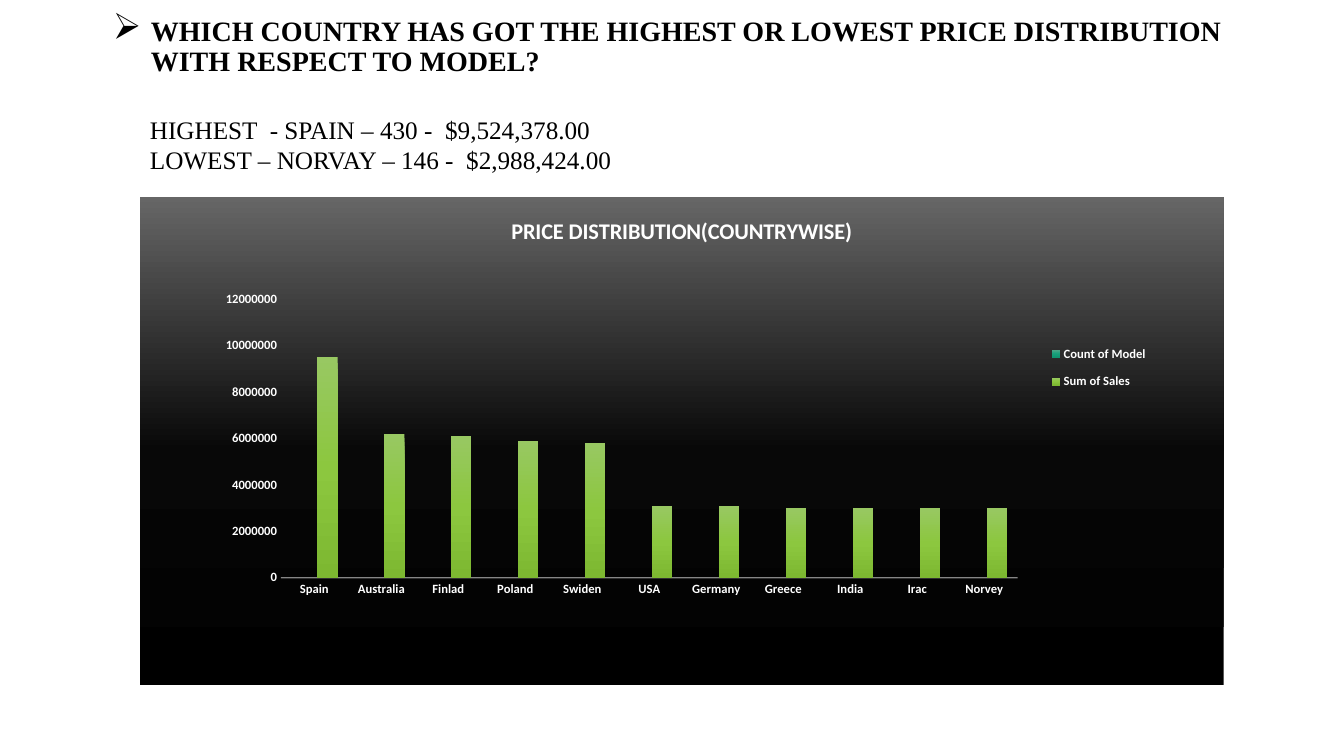
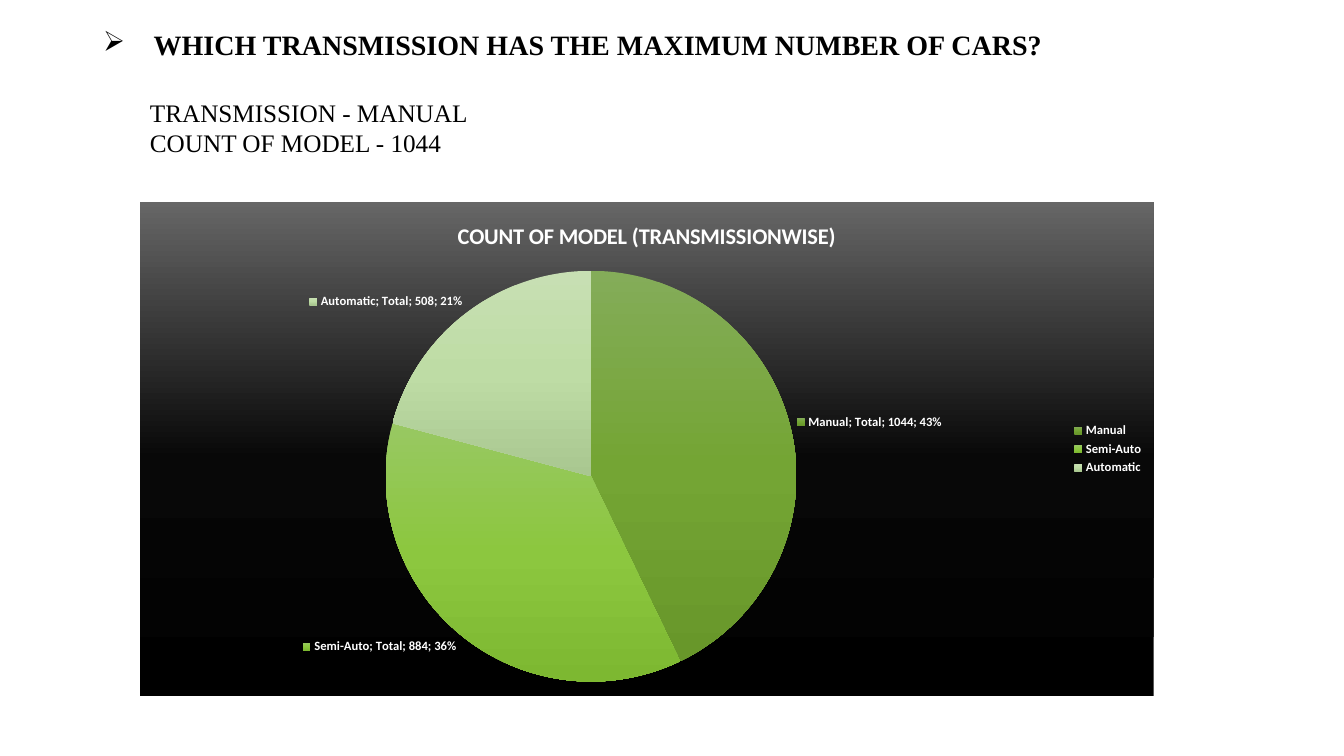
from pptx import Presentation
from pptx.chart.data import CategoryChartData
from pptx.dml.color import RGBColor
from pptx.enum.chart import XL_CHART_TYPE, XL_LABEL_POSITION, XL_LEGEND_POSITION, XL_TICK_MARK
from pptx.enum.text import MSO_ANCHOR, MSO_AUTO_SIZE, PP_ALIGN
from pptx.oxml import parse_xml
from pptx.oxml.ns import nsdecls, qn
from pptx.util import Pt

COLORS = {"text": "000000", "chart_text": "FFFFFF", "axis": "F2F2F2"}

# Gradients: colours at 0, the middle stop and 100 percent
GRADIENTS = {
    "backdrop": ["000000", "080808", "666666"],
    "teal": ["4EA788", "17A07B", "0F9470"],
    "lime": ["98C862", "8CC73F", "7DB831"],
    "green": ["84AC59", "74A534", "68972A"],
    "pale": ["C7DFB3", "BEDCA5", "A9C790"],
}

# Text formats
QUESTION = {"name": "Times New Roman", "size": Pt(20), "bold": True}
ANSWER = {"name": "Times New Roman", "size": Pt(18), "bold": False}
CHART_TITLE = {"name": "Calibri", "size": Pt(16), "bold": True}
CHART_BASE = {"name": "Calibri", "size": Pt(10), "bold": True}
CHART_LABEL = {"name": "Calibri", "size": Pt(9), "bold": True}


def style(font, formats, color):
    for attribute, value in formats.items():
        setattr(font, attribute, value)
    font.color.rgb = RGBColor.from_string(COLORS[color])


def gradient_fill(name, middle, angle):
    stops = "".join(
        f'<a:gs pos="{position * 1000}"><a:srgbClr val="{color}"/></a:gs>'
        for position, color in zip((0, middle, 100), GRADIENTS[name]))
    return parse_xml(f'<a:gradFill {nsdecls("a")} rotWithShape="1"><a:gsLst>{stops}</a:gsLst>'
                     f'<a:lin ang="{angle * 60000}" scaled="0"/></a:gradFill>')


# Content: places are left, top, width, height in points;
# layouts are x, y, w, h as fractions of the chart
pages = [
    {
        "question": "WHICH COUNTRY HAS GOT THE HIGHEST OR LOWEST PRICE DISTRIBUTION "
                    "WITH RESPECT TO MODEL?",
        "question_at": (73.5, 2, 828, 63.5), "indent": 27, "bullet_size": 130,
        "answers": ["HIGHEST  - SPAIN – 430 -  $9,524,378.00",
                    "LOWEST – NORVAY – 146 -  $2,988,424.00"],
        "answers_at": (100, 78, 381, 51),
        "chart_title": "PRICE DISTRIBUTION(COUNTRYWISE)",
        "chart_type": XL_CHART_TYPE.COLUMN_CLUSTERED,
        "chart_at": (100, 140.5, 774, 349),
        "categories": ["Spain", "Australia", "Finlad", "Poland", "Swiden", "USA",
                       "Germany", "Greece", "India", "Irac", "Norvey"],
        "series": {
            "Count of Model": [0] * 11,
            "Sum of Sales": [9500000, 6200000, 6100000, 5900000, 5800000, 3100000,
                             3100000, 3000000, 3000000, 3000000, 3000000],
        },
        "fills": ["teal", "lime"],
        "plot_layout": (0.13, 0.21, 0.68, 0.57),
        "legend_layout": (0.83, 0.28, 0.11, 0.14),
    },
    {
        "question": "WHICH TRANSMISSION HAS THE MAXIMUM NUMBER OF CARS?",
        "question_at": (66.5, 16.5, 828, 33), "indent": 36, "bullet_size": 100,
        "answers": ["TRANSMISSION - MANUAL", "COUNT OF MODEL - 1044"],
        "answers_at": (100, 66, 638, 51),
        "chart_title": "COUNT OF MODEL (TRANSMISSIONWISE)",
        "chart_type": XL_CHART_TYPE.PIE,
        "chart_at": (100, 144, 724, 353.5),
        "categories": ["Manual", "Semi-Auto", "Automatic"],
        "series": {"Total": [1044, 884, 508]},
        "fills": ["green", "lime", "pale"],
        "plot_layout": (0.24, 0.14, 0.41, 0.83),
        "legend_layout": None,
    },
]

deck = Presentation()
deck.slide_width, deck.slide_height = Pt(960), Pt(540)

for page in pages:
    slide = deck.slides.add_slide(deck.slide_layouts[5])

    # Question with arrow bullet
    question = slide.shapes.title
    question.left, question.top, question.width, question.height = map(Pt, page["question_at"])
    question_frame = question.text_frame
    question_frame.text = page["question"]
    question_frame.auto_size = MSO_AUTO_SIZE.NONE
    question_frame.vertical_anchor = MSO_ANCHOR.MIDDLE
    line = question_frame.paragraphs[0]
    line.alignment, line.line_spacing = PP_ALIGN.LEFT, 0.9
    style(line.runs[0].font, QUESTION, "text")
    bullet = line._p.get_or_add_pPr()
    bullet.set("marL", str(Pt(page["indent"])))
    bullet.set("indent", str(-Pt(page["indent"])))
    bullet.append(parse_xml(f'<a:buSzPct {nsdecls("a")} val="{page["bullet_size"] * 1000}"/>'))
    bullet.append(parse_xml(f'<a:buChar {nsdecls("a")} char="➢"/>'))

    # Answers
    answers = slide.shapes.add_textbox(*map(Pt, page["answers_at"])).text_frame
    answers.word_wrap = True
    answers.text = "\n".join(page["answers"])
    for answer in answers.paragraphs:
        style(answer.runs[0].font, ANSWER, "text")

    # Chart with title and legend
    data = CategoryChartData(number_format="0")
    data.categories = page["categories"]
    for name, values in page["series"].items():
        data.add_series(name, values)
    chart = slide.shapes.add_chart(page["chart_type"], *map(Pt, page["chart_at"]), data).chart
    style(chart.font, CHART_BASE, "chart_text")
    chart.has_title = True
    chart.chart_title.text_frame.text = page["chart_title"]
    style(chart.chart_title.text_frame.paragraphs[0].runs[0].font, CHART_TITLE, "chart_text")
    chart.has_legend = True
    chart.legend.position = XL_LEGEND_POSITION.RIGHT
    chart.legend.include_in_layout = False
    style(chart.legend.font, CHART_LABEL, "chart_text")

    # Dark backdrop
    backdrop = parse_xml(f'<c:spPr {nsdecls("c", "a")}><a:ln><a:noFill/></a:ln></c:spPr>')
    backdrop.insert(0, gradient_fill("backdrop", 48, 270))
    chart_xml = chart._chartSpace.find(qn("c:chart"))
    chart_xml.addnext(backdrop)

    plot = chart.plots[0]
    if page["chart_type"] == XL_CHART_TYPE.PIE:
        # Slices and their labels
        plot.vary_by_categories = True
        colored_parts = [plot.series[0].points[i] for i in range(len(page["fills"]))]
        plot.has_data_labels = True
        labels = plot.data_labels
        label_formats = {
            "show_value": True, "show_percentage": True, "show_category_name": True,
            "show_series_name": True, "show_legend_key": True,
            "position": XL_LABEL_POSITION.OUTSIDE_END,
        }
        for attribute, value in label_formats.items():
            setattr(labels, attribute, value)
        style(labels.font, CHART_LABEL, "chart_text")
    else:
        # Columns and axes
        plot.vary_by_categories = False
        plot.gap_width, plot.overlap = 100, -24
        colored_parts = list(plot.series)
        for axis in (chart.category_axis, chart.value_axis):
            axis.has_major_gridlines = False
            axis.major_tick_mark = axis.minor_tick_mark = XL_TICK_MARK.NONE
            style(axis.tick_labels.font, CHART_LABEL, "chart_text")
        chart.value_axis.maximum_scale = 12000000
        chart.value_axis.minimum_scale = 0
        chart.value_axis.major_unit = 2000000
        chart.value_axis.format.line.fill.background()
        base_line = chart.category_axis.format.line
        base_line.width = Pt(1)
        base_line.color.rgb = RGBColor.from_string(COLORS["axis"])
        base_color = chart.category_axis._element.find(".//" + qn("a:ln")).find(".//" + qn("a:srgbClr"))
        base_color.append(parse_xml(f'<a:alpha {nsdecls("a")} val="54000"/>'))

    # Gradients on columns or slices
    for part, fill_name in zip(colored_parts, page["fills"]):
        part.format.fill.solid()
    solid_fills = chart_xml.xpath(".//c:ser/c:spPr/a:solidFill | .//c:dPt/c:spPr/a:solidFill")
    for solid, fill_name in zip(solid_fills, page["fills"]):
        solid.getparent().replace(solid, gradient_fill(fill_name, 50, 90))

    # Fixed places of plot and legend
    plot_area = chart_xml.find(qn("c:plotArea"))
    legend_xml = chart_xml.find(qn("c:legend"))
    for parent, index, target, fractions in (
            (plot_area, 0, '<c:layoutTarget val="inner"/>', page["plot_layout"]),
            (legend_xml, 1, "", page["legend_layout"])):
        if fractions is None:
            continue
        for automatic in parent.findall(qn("c:layout")):
            parent.remove(automatic)
        modes = "".join(f'<c:{side}Mode val="edge"/>' for side in "xy")
        places = "".join(f'<c:{side} val="{value}"/>' for side, value in zip("xywh", fractions))
        parent.insert(index, parse_xml(
            f'<c:layout {nsdecls("c")}><c:manualLayout>{target}{modes}{places}'
            '</c:manualLayout></c:layout>'))

deck.save("out.pptx")
